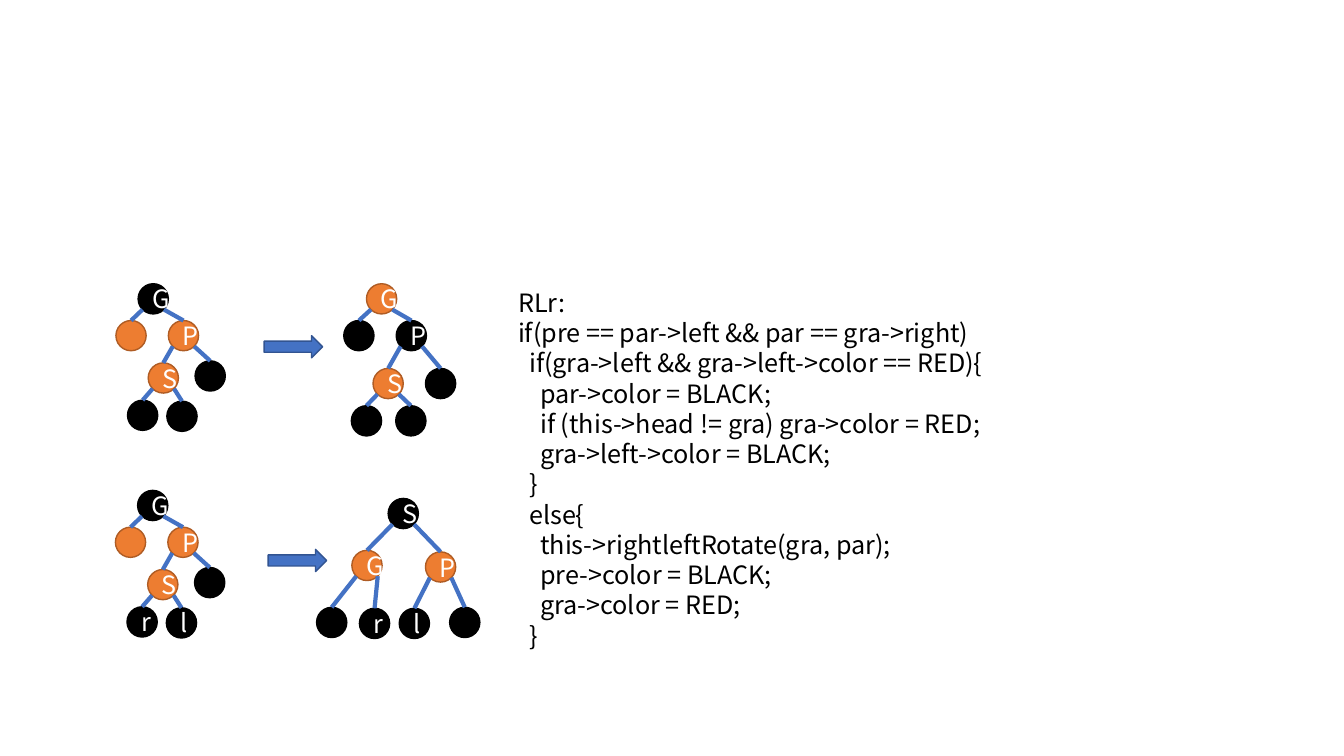
from pptx import Presentation
from pptx.dml.color import RGBColor
from pptx.enum.shapes import MSO_CONNECTOR, MSO_SHAPE
from pptx.enum.text import MSO_ANCHOR, MSO_AUTO_SIZE, PP_ALIGN
from pptx.oxml.ns import qn
from pptx.util import Inches, Pt

OVAL, RIGHT_ARROW = MSO_SHAPE.OVAL, MSO_SHAPE.RIGHT_ARROW
STRAIGHT = MSO_CONNECTOR.STRAIGHT
MIDDLE, CENTER = MSO_ANCHOR.MIDDLE, PP_ALIGN.CENTER
FIT_TEXT = MSO_AUTO_SIZE.SHAPE_TO_FIT_TEXT

FONT, FONT_SIZE = "Noto Sans CJK SC", 18
BLACK, WHITE, BLUE = "000000", "FFFFFF", "4472C4"
RED_NODE = ("ED7D31", "AF5C24")
BLACK_NODE = (BLACK, BLACK)
ARROW = (BLUE, "325491")

CELL = 0.1
NODE = 3
DIAGONAL = NODE / 2 * 0.71
INDENT = 1.1

# Each node: label, colours, column, row, index of its parent.
UNROTATED = [
    ("G", BLACK_NODE, 2.2, 0, None), ("P", RED_NODE, 5.2, 3.65, 0),
    ("", RED_NODE, 0, 3.65, 0), ("S", RED_NODE, 3.2, 7.85, 1),
    ("", BLACK_NODE, 7.85, 7.65, 1), ("l", BLACK_NODE, 5.05, 11.65, 3),
    ("r", BLACK_NODE, 1.15, 11.55, 3),
]
RECOLOURED = [
    ("G", RED_NODE, 2.25, 0, None), ("P", BLACK_NODE, 5.2, 3.65, 0),
    ("", BLACK_NODE, 0, 3.65, 0), ("S", RED_NODE, 2.9, 8.4, 1),
    ("", BLACK_NODE, 8.1, 8.4, 1), ("", BLACK_NODE, 5.15, 12.1, 3),
    ("", BLACK_NODE, 0.75, 12.1, 3),
]
ROTATED = [
    ("S", BLACK_NODE, 7.1, 0, None), ("G", RED_NODE, 3.5, 5.15, 0),
    ("P", RED_NODE, 10.8, 5.3, 0), ("", BLACK_NODE, 0, 10.8, 1),
    ("r", BLACK_NODE, 4.25, 10.9, 1), ("l", BLACK_NODE, 8.2, 10.9, 2),
    ("", BLACK_NODE, 13.2, 10.8, 2),
]
CODE = [
    (0, "RLr:"),
    (0, "if(pre == par->left && par == gra->right)"),
    (1, "if(gra->left && gra->left->color == RED){"),
    (2, "par->color = BLACK;"),
    (2, "if (this->head != gra) gra->color = RED;"),
    (2, "gra->left->color = BLACK;"),
    (1, "}"),
    (1, "else{"),
    (2, "this->rightleftRotate(gra, par);"),
    (2, "pre->color = BLACK;"),
    (2, "gra->color = RED;"),
    (1, "}"),
]


def grid(*cells):
    """Turn counts of grid cells into lengths."""
    return [Inches(count * CELL) for count in cells]


def rgb(value):
    """Turn a hex string into a colour."""
    return RGBColor.from_string(value)


def style_text(para, colour):
    """Give a paragraph the slide's font in one colour."""
    para.font.name = FONT
    para.font.size = Pt(FONT_SIZE)
    para.font.color.rgb = rgb(colour)


def add_solid(shapes, preset, area, colours):
    """Add a preset shape with a fill and a thin outline."""
    shape = shapes.add_shape(preset, *grid(*area))
    fill, outline = colours
    shape.shadow.inherit = False
    shape.fill.solid()
    shape.fill.fore_color.rgb = rgb(fill)
    shape.line.color.rgb = rgb(outline)
    shape.line.width = Pt(1)
    return shape


def add_node(shapes, label, colours, left, top):
    """Add a round tree node, with a letter if it has one."""
    node = add_solid(shapes, OVAL, (left, top, NODE, NODE), colours)
    if label:
        node.text_frame.vertical_anchor = MIDDLE
        para = node.text_frame.paragraphs[0]
        para.text = label
        para.alignment = CENTER
        style_text(para, WHITE)


def add_edge(shapes, parent, child):
    """Join the parent's lower corner to the top of the child."""
    (parent_x, parent_y), (child_x, child_y) = parent, child
    side = DIAGONAL if child_x > parent_x else -DIAGONAL
    start = (parent_x + side, parent_y + DIAGONAL)
    edge = shapes.add_connector(
        STRAIGHT, *grid(*start, child_x, child_y - NODE / 2))
    edge.line.color.rgb = rgb(BLUE)
    edge.line.width = Pt(3)
    properties = edge._element.spPr
    properties.append(properties.makeelement(qn("a:effectLst"), {}))


def add_tree(slide, nodes, left, top, labelled_leaves=True):
    """Add a tree as one group: nodes first, then edges."""
    shapes = slide.shapes.add_group_shape().shapes
    centres = []
    for label, colours, column, row, _ in nodes:
        shown = label if labelled_leaves or label.isupper() else ""
        add_node(shapes, shown, colours, left + column, top + row)
        centres.append((left + column + NODE / 2, top + row + NODE / 2))
    for centre, node in zip(centres, nodes):
        parent = node[-1]
        if parent is not None:
            add_edge(shapes, centres[parent], centre)


def add_code(slide, area, lines):
    """Add the code listing with one paragraph per line."""
    box = slide.shapes.add_textbox(*grid(*area))
    frame = box.text_frame
    frame.word_wrap = True
    frame.auto_size = FIT_TEXT
    for number, (level, text) in enumerate(lines):
        para = frame.add_paragraph() if number else frame.paragraphs[0]
        para.text = text
        style_text(para, BLACK)
        margin, = grid(level * INDENT)
        para._p.get_or_add_pPr().set("marL", str(margin))


def main():
    """Build the slide on red-black tree rotation."""
    deck = Presentation()
    deck.slide_width, deck.slide_height = Inches(13.33), Inches(7.5)
    slide = deck.slides.add_slide(deck.slide_layouts[6])
    add_tree(slide, UNROTATED, 11.5, 28.15, labelled_leaves=False)
    add_solid(slide.shapes, RIGHT_ARROW, (26.2, 33.3, 5.8, 2.2), ARROW)
    add_tree(slide, RECOLOURED, 34.1, 28.15)
    add_solid(slide.shapes, RIGHT_ARROW, (26.6, 54.5, 5.8, 2.2), ARROW)
    add_tree(slide, ROTATED, 31.4, 49.45)
    add_code(slide, (50.4, 28, 67, 37.4), CODE)
    add_tree(slide, UNROTATED, 11.45, 48.65)
    deck.save("out.pptx")


main()
